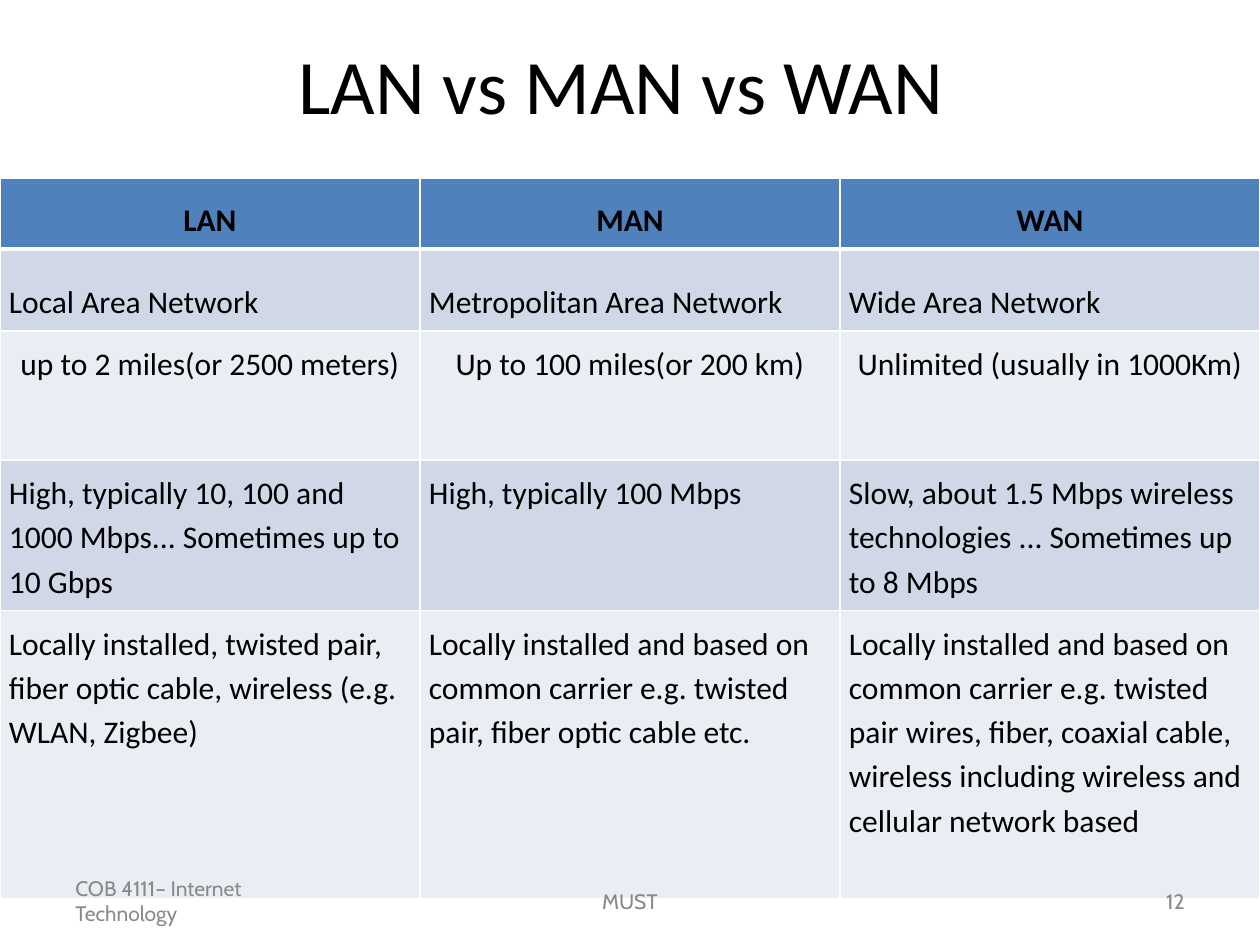
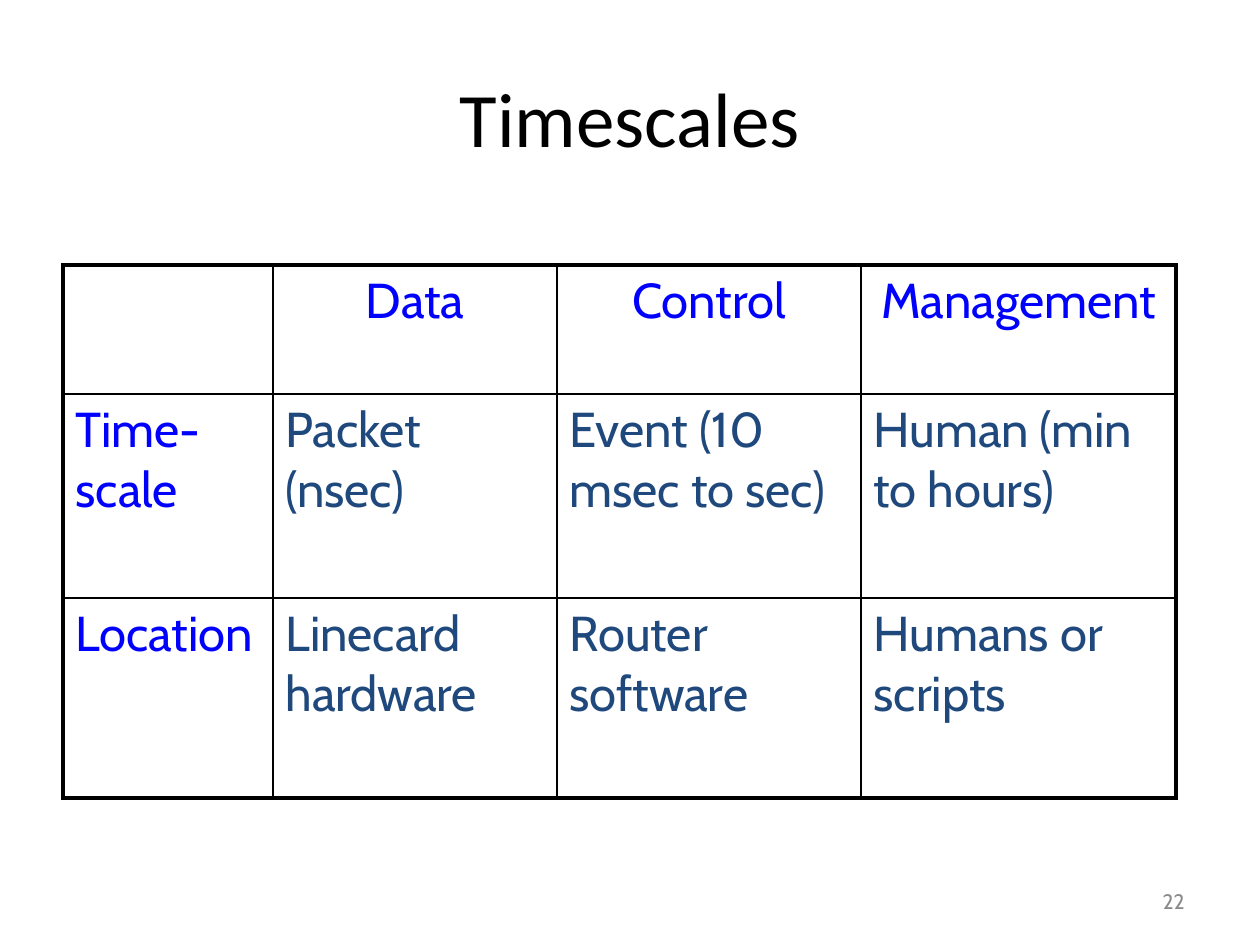
from dataclasses import dataclass

from lxml.etree import SubElement
from pptx import Presentation
from pptx.dml.color import RGBColor as Color
from pptx.enum.text import MSO_ANCHOR as Anchor, MSO_AUTO_SIZE as Fit, PP_ALIGN as Align
from pptx.oxml import parse_xml
from pptx.oxml.ns import nsdecls, qn
from pptx.util import Emu, Pt


@dataclass(frozen=True)
class Theme:
    head: str = "Calibri"
    body: str = "Cabin"
    black: str = "000000"
    white: str = "FFFFFF"
    grey: str = "898989"
    blue: str = "0000FF"
    navy: str = "1F497D"
    bar: str = "4F81BD"
    bands: tuple = ("E9EDF4", "D0D8E8")  # even rows, odd rows
    title: int = 44
    large: int = 28
    small: int = 18
    foot: int = 12
    thin: float = 1
    thick: float = 2.25
    rule: float = 3


THEME = Theme()
FOOT_TOP, FOOT_HIGH = 876, 50

AREAS = [
    ["LAN", "MAN", "WAN"],
    ["Local Area Network", "Metropolitan Area Network", "Wide Area Network"],
    ["up to 2 miles(or 2500 meters)", "Up to 100 miles(or 200 km)",
     "Unlimited (usually in 1000Km)"],
    ["High, typically 10, 100 and 1000 Mbps... Sometimes up to 10 Gbps",
     "High, typically 100 Mbps",
     "Slow, about 1.5 Mbps wireless technologies ... Sometimes up to 8 Mbps"],
    ["Locally installed, twisted pair, fiber optic cable, wireless (e.g. WLAN, Zigbee)",
     "Locally installed and based on common carrier e.g. twisted pair, "
     "fiber optic cable etc.",
     "Locally installed and based on common carrier e.g. twisted pair wires, fiber, "
     "coaxial cable, wireless including wireless and cellular network based"],
]
TIMES = [
    ["", "Data", "Control", "Management"],
    ["Time-scale", "Packet (nsec)", "Event (10 msec to sec)", "Human (min to hours)"],
    ["Location", "Linecard hardware", "Router software", "Humans or scripts"],
]


def px(count):
    """Turn px, 126 to the inch, into EMU."""
    return Emu(round(count * 914400 / 126))


# Text
def write(frame, text, size, font, color, align=Align.LEFT, bold=False):
    para = frame.paragraphs[0]
    para.text = text
    para.alignment = align
    for run in para.runs:
        run.font.size = Pt(size)
        run.font.name = font
        run.font.bold = bold
        run.font.color.rgb = Color.from_string(color)
    return para


def add_page(deck, text, high):
    slide = deck.slides.add_slide(deck.slide_layouts[5])
    title = slide.shapes.title
    title.left, title.top, title.width, title.height = map(px, (63, 38, 1134, high))
    frame = title.text_frame
    frame.auto_size = Fit.NONE
    frame.vertical_anchor = Anchor.MIDDLE
    write(frame, text, THEME.title, THEME.head, THEME.black, Align.CENTER)
    return slide


def add_foot(slide, text, left, width, align):
    box = slide.shapes.add_textbox(px(left), px(FOOT_TOP), px(width), px(FOOT_HIGH))
    frame = box.text_frame
    frame.word_wrap = True
    frame.vertical_anchor = Anchor.MIDDLE
    write(frame, text, THEME.foot, THEME.body, THEME.grey, align)


def add_number(slide, text):
    add_foot(slide, text, 903, 294, Align.RIGHT)


# Tables
def add_grid(slide, left, top, cols, rows):
    frame = slide.shapes.add_table(len(rows), len(cols), px(left), px(top),
                                   px(sum(cols)), px(sum(rows)))
    table = frame.table
    table.first_row = table.horz_banding = False
    for col, width in zip(table.columns, cols):
        col.width = px(width)
    for row, high in zip(table.rows, rows):
        row.height = px(high)
    return table


def set_edges(cell, color, left, right, top, bottom):
    props = cell._tc.get_or_add_tcPr()
    sides = {"L": left, "R": right, "T": top, "B": bottom}
    for spot, (side, width) in enumerate(sides.items()):
        props.insert(spot, parse_xml(
            f'<a:ln{side} {nsdecls("a")} w="{Pt(width)}"><a:solidFill>'
            f'<a:srgbClr val="{color}"/></a:solidFill></a:ln{side}>'))


def set_fill(cell, color):
    cell.fill.solid()
    cell.fill.fore_color.rgb = Color.from_string(color)


def add_lead(para, share):
    """Space before the paragraph, in percent of its line."""
    lead = SubElement(para._p.get_or_add_pPr(), qn("a:spcBef"))
    SubElement(lead, qn("a:spcPct")).set("val", str(share * 1000))


def fill_areas(table):
    for r, line in enumerate(AREAS):
        for c, text in enumerate(line):
            cell = table.cell(r, c)
            cell.margin_left = cell.margin_right = px(9)
            cell.margin_top = cell.margin_bottom = px(9)
            cell.vertical_anchor = Anchor.BOTTOM if r < 2 else Anchor.TOP
            align = Align.CENTER if r in (0, 2) else Align.LEFT
            para = write(cell.text_frame, text, THEME.small, THEME.head,
                         THEME.black, align, bold=r == 0)
            para.line_spacing = 1.15
            set_fill(cell, THEME.bands[r % 2] if r else THEME.bar)
            set_edges(cell, THEME.white, THEME.thin, THEME.thin,
                      THEME.rule if r == 1 else THEME.thin,
                      THEME.rule if r == 0 else THEME.thin)


def fill_times(table):
    def edge(outer):
        return THEME.thick if outer else THEME.thin

    for r, line in enumerate(TIMES):
        for c, text in enumerate(line):
            cell = table.cell(r, c)
            color = THEME.navy if r and c else THEME.blue
            align = Align.LEFT if r else Align.CENTER
            para = write(cell.text_frame, text, THEME.large, THEME.body, color, align)
            add_lead(para, 20)
            cell.fill.background()
            set_edges(cell, THEME.black, edge(c == 0), edge(c == len(line) - 1),
                      edge(r == 0), edge(r == len(TIMES) - 1))


def main():
    deck = Presentation()
    deck.slide_width, deck.slide_height = px(1260), px(945)

    # Network kinds
    slide = add_page(deck, "LAN vs MAN vs WAN ", 91)
    fill_areas(add_grid(slide, 0, 178, [420] * 3, [71, 82, 129, 150, 288]))
    add_foot(slide, "COB 4111– Internet Technology", 63, 294, Align.LEFT)
    add_foot(slide, "MUST", 430, 400, Align.CENTER)
    add_number(slide, "12")

    # Timescales
    slide = add_page(deck, "Timescales", 158)
    fill_times(add_grid(slide, 63, 265, [210, 284, 304, 315], [129, 204, 200]))
    add_number(slide, "22")

    deck.save("out.pptx")


if __name__ == "__main__":
    main()
